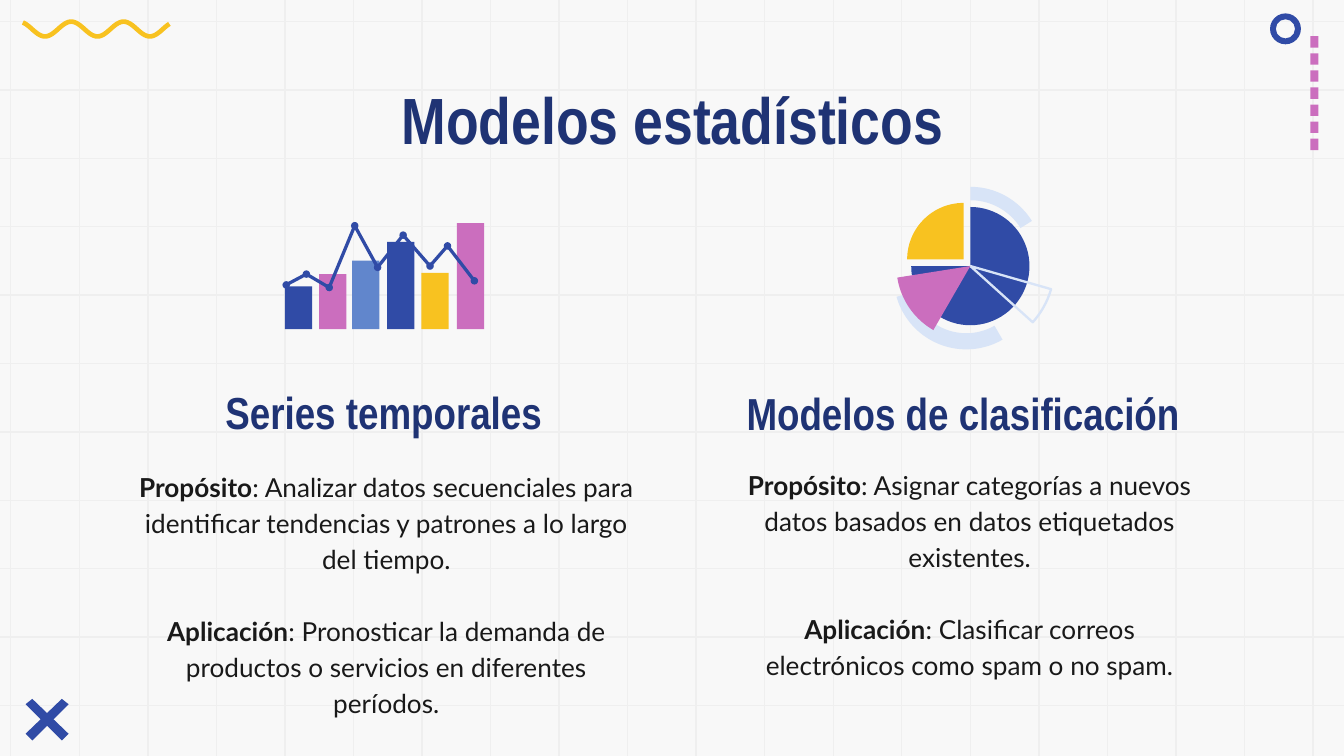
import math
from lxml import etree
from pptx import Presentation
from pptx import util as u
from pptx.dml import color
from pptx.enum import shapes, text
from pptx.oxml import ns

colour = color.RGBColor.from_string
NAVY, BLUE, SKY, PALE = "1F3374", "304BA6", "6186CC", "D8E4F7"
PINK, YELLOW, INK, GRID = "CB6EBE", "F8C220", "191919", "EFEFEF"

presentation = Presentation()
presentation.slide_width, presentation.slide_height = u.Inches(10), u.Inches(5.625)
slide = presentation.slides.add_slide(presentation.slide_layouts[6])
slide.background.fill.solid()
slide.background.fill.fore_color.rgb = colour("F8F8F8")
cell = presentation.slide_width // 100
bottom = presentation.slide_height / cell


def paint(shape, fill=None, line=None, width=0):
    shape.shadow.inherit = False
    if fill:
        shape.fill.solid()
        shape.fill.fore_color.rgb = colour(fill)
    else:
        shape.fill.background()
    if line:
        shape.line.color.rgb = colour(line)
        shape.line.width = u.Pt(width)
    else:
        shape.line.fill.background()


def draw(points, closed=True, **style):
    corners = [(x * cell, y * cell) for x, y in points]
    builder = slide.shapes.build_freeform(*corners[0])
    builder.add_line_segments(corners[1:], close=closed)
    paint(builder.convert_to_shape(), **style)


rows = [(0, 1.6 + 5.09 * i, 100, 1.6 + 5.09 * i) for i in range(11)]
columns = [(0.8 + 5.1 * i, 0, 0.8 + 5.1 * i, bottom) for i in range(20)]
for ends in rows + columns:
    grid_line = slide.shapes.add_connector(
        shapes.MSO_CONNECTOR.STRAIGHT, *[round(end * cell) for end in ends])
    grid_line.line.color.rgb = colour(GRID)
    grid_line.line.width = u.Pt(0.75)
    etree.SubElement(grid_line._element.spPr, ns.qn("a:effectLst"))

blocks = [(97.5, 2.7 + 1.27 * i, 0.6, 0.85, PINK) for i in range(7)]
bars = [(21.2, 21.3, BLUE), (23.75, 20.4, PINK), (26.2, 19.4, SKY),
        (28.8, 18, BLUE), (31.35, 20.3, YELLOW), (34, 16.6, PINK)]
blocks += [(left, top, 2.03, 24.5 - top, fill) for left, top, fill in bars]
for *box, fill in blocks:
    block = slide.shapes.add_shape(
        shapes.MSO_SHAPE.RECTANGLE, *[round(side * cell) for side in box])
    paint(block, fill)

stroke = [(2.4, 52), (1.9, 52.4), (4.6, 55.1), (5.1, 54.6)]
draw(stroke, fill=BLUE)
draw([(7 - x, y) for x, y in stroke], fill=BLUE)

wave = [(x / 10, 2.16 - 0.55 * math.cos(math.tau * (x / 10 - 5.3) / 3.9))
        for x in range(17, 127)]
draw(wave, closed=False, line=YELLOW, width=2.5)

ring = slide.shapes.add_shape(
    shapes.MSO_SHAPE.DONUT, *[round(side * cell) for side in (94.5, 1, 2.3, 2.3)])
ring.adjustments[0] = 0.19
paint(ring, BLUE)

trend = [(21.3, 21.2), (22.8, 20.4), (24.5, 21.4), (26.4, 16.8), (28.1, 19.9),
         (30, 17.5), (32, 19.8), (33.3, 18.3), (35.3, 20.9)]
draw(trend, closed=False, line=BLUE, width=1.75)
for x, y in trend:
    dot = slide.shapes.add_shape(
        shapes.MSO_SHAPE.OVAL, *[round(side * cell) for side in (x - 0.28, y - 0.28, 0.56, 0.56)])
    paint(dot, BLUE)

sectors = [
    (71.9, 20.6, 5.4, 4.2, 60, 164, {"fill": PALE}),
    (71.7, 19.3, 4.2, 0, 180, 270, {"fill": YELLOW}),
    (72.2, 19.8, 4.4, 0, -90, 180, {"fill": BLUE}),
    (72.2, 19.8, 6.25, 0, 16, 42, {"line": PALE, "width": 1.25}),
    (72.2, 19.8, 5.5, 0, 120, 171, {"fill": PINK}),
    (72.2, 19.3, 5.4, 4.4, 270, 328, {"fill": PALE}),
]
for x, y, outer, inner, start, end, style in sectors:
    angles = [math.radians(start + (end - start) * i / 60) for i in range(61)]
    edge = [(x + outer * math.cos(a), y + outer * math.sin(a)) for a in angles]
    if inner:
        edge += [(x + inner * math.cos(a), y + inner * math.sin(a)) for a in angles[::-1]]
    else:
        edge.append((x, y))
    draw(edge, **style)

top, base = text.MSO_ANCHOR.TOP, text.MSO_ANCHOR.BOTTOM
heading, body = ("Arial Narrow", NAVY), ("Lato", INK)
texts = [
    ((7.9, 4.9, 84.3, 6.3), top, heading, 35, 1, [("Modelos estadísticos", "")]),
    ((14.9, 28.7, 27.3, 4.9), base, heading, 24, 1.15, [("Series temporales", "")]),
    ((53.2, 28.8, 36.9, 4.9), base, heading, 24, 1.15, [("Modelos de clasificación", "")]),
    ((9.3, 33.7, 38.9, 19.9), top, body, 14, 1.15, [
        ("Propósito", ": Analizar datos secuenciales para identificar tendencias y patrones a lo largo del tiempo."),
        ("Aplicación", ": Pronosticar la demanda de productos o servicios en diferentes períodos.")]),
    ((53.7, 33.6, 36.9, 18.2), top, body, 14, 1.15, [
        ("Propósito", ": Asignar categorías a nuevos datos basados en datos etiquetados existentes."),
        ("Aplicación", ": Clasificar correos electrónicos como spam o no spam.")]),
]
for box, anchor, (font, ink), size, spacing, lines in texts:
    frame = slide.shapes.add_textbox(*[round(side * cell) for side in box]).text_frame
    frame.word_wrap = True
    frame.vertical_anchor = anchor
    frame.margin_left = frame.margin_right = frame.margin_top = frame.margin_bottom = cell
    for i, (label, detail) in enumerate(lines):
        paragraph = frame.add_paragraph() if i else frame.paragraphs[0]
        paragraph.alignment = text.PP_ALIGN.CENTER
        paragraph.line_spacing = spacing
        paragraph.space_before = u.Pt(19.3 * i)
        paragraph.font.name, paragraph.font.size = font, u.Pt(size)
        paragraph.font.color.rgb = colour(ink)
        for words, bold in ((label, True), (detail, False)):
            if words:
                run = paragraph.add_run()
                run.text, run.font.bold = words, bold

presentation.save("out.pptx")
